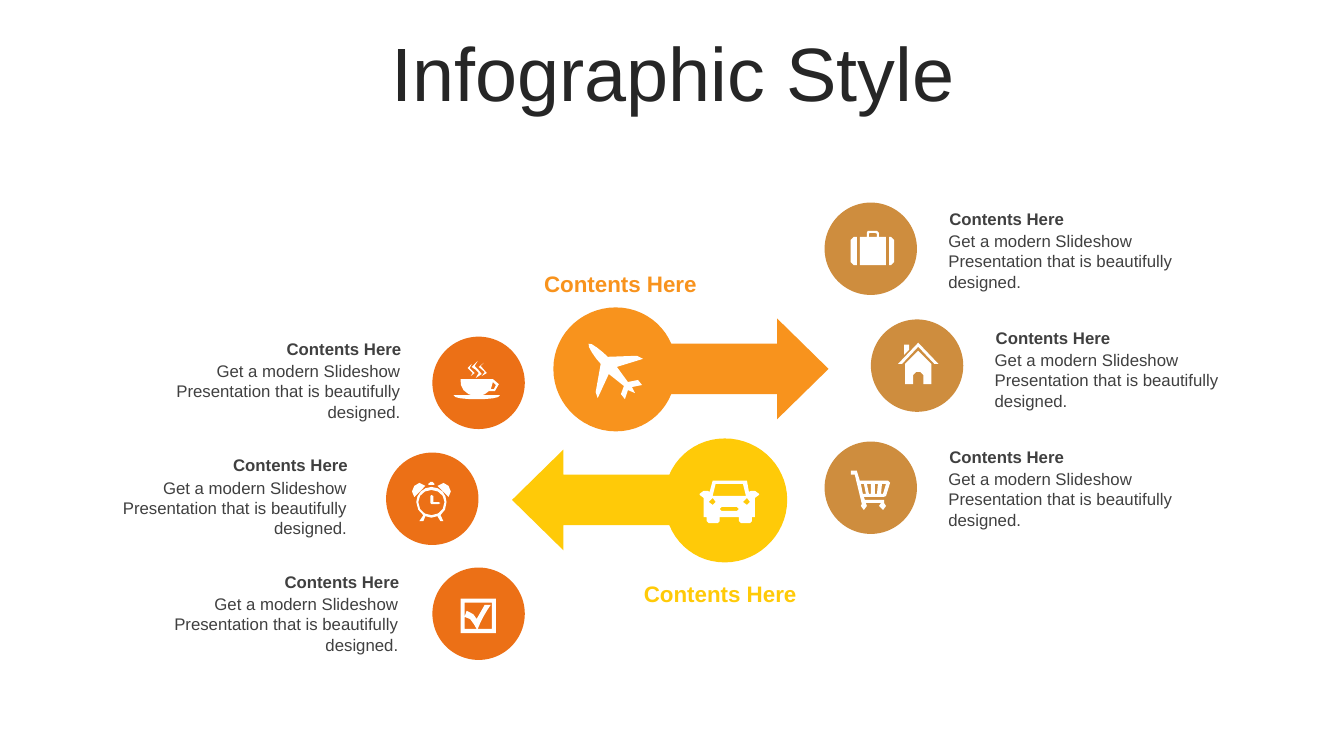
from math import dist

from pptx import Presentation
from pptx import util as u
from pptx.dml.color import RGBColor
from pptx.enum import shapes, text

INK = RGBColor(0x26, 0x26, 0x26)
GREY = RGBColor(0x40, 0x40, 0x40)
WHITE = RGBColor(0xFF, 0xFF, 0xFF)
AMBER = RGBColor(0xF8, 0x93, 0x1D)
YELLOW = RGBColor(0xFF, 0xCA, 0x08)
TAN = RGBColor(0xCE, 0x8D, 0x3E)
ORANGE = RGBColor(0xEC, 0x70, 0x16)

HEADING = "Contents Here"
DETAIL = "Get a modern Slideshow Presentation that is beautifully designed."

ARROW = (
    "M62 0C87 0 108 15 117 36L222 36 222 11 273 61 222 111 222 86 117 86"
    "C108 108 87 123 62 123C28 123 0 95 0 61C0 27 28 0 62 0Z"
)
ARROW_SPAN = 272
PLANE = (
    "M53 41L43 43 46 49C44 50 41 47 39 46L36 55 32 50 35 42 20 30 9 54 7 48"
    "L12 20C7 15 -2 2 0 0C2 -2 14 8 19 13L48 12 54 15 28 23 39 38 49 36Z"
)
CAR = (
    "M22 26L20 28 22 30 37 30 39 28 37 26Z"
    "M47 17C45 17 43 19 43 21C43 23 45 24 47 24C49 24 50 23 50 21C50 19 49 17 47 17Z"
    "M13 17C11 17 9 19 9 21C9 23 11 24 13 24C15 24 16 23 16 21C16 19 15 17 13 17Z"
    "M16 3L13 15 46 15 43 3Z"
    "M13 0L47 0 49 11 51 10 55 10C57 10 59 11 59 13L59 14C59 16 57 17 55 17"
    "L55 36 52 36 52 40 50 42 41 42 39 40 39 36 20 36 20 40 18 42 9 42 7 40 7 36 4 36 4 17"
    "C2 17 0 16 0 14L0 13C0 11 2 10 4 10L8 10 10 11Z"
)
SUITCASE = (
    "M38 6L40 6C42 6 43 7 43 9L43 31C43 33 42 34 40 34L38 34Z"
    "M3 6L6 6 6 34 3 34C2 34 0 33 0 31L0 9C0 7 2 6 3 6Z"
    "M19 2L18 3 18 6 26 6 26 3 24 2Z"
    "M17 0L26 0 28 2 28 6 35 6 35 34 9 34 9 6 16 6 16 2Z"
)
HOUSE = (
    "M20 8L33 21 33 41 25 41 25 32C25 30 24 29 22 29L18 29C16 29 15 30 15 32"
    "L15 41 7 41 7 21ZM6 2L11 2 11 7 6 12ZM20 0L40 21 36 21 20 4 4 21 0 21Z"
)
CART = (
    "M31 13L30 23 32 23 35 13ZM24 13L24 23 26 23 27 13Z"
    "M16 13L18 23 20 23 20 13ZM10 13L12 23 15 23 13 13Z"
    "M6 0L9 10 37 10 39 12 35 25 33 26 13 26 14 29 33 29 33 32"
    "L35 35C35 37 33 39 32 39C30 39 28 37 28 35L30 32 15 32"
    "L16 35C16 37 15 39 13 39C11 39 10 37 10 35L11 33 4 4 0 4 0 0Z"
)
CUP = (
    "M39 21L37 28 40 28 42 24Z"
    "M39 18C42 19 44 21 45 23C45 26 44 29 41 30C39 31 37 31 35 30L31 33 28 34 46 34"
    "C46 37 35 38 23 38C11 38 0 37 0 34L18 34 15 33C9 30 6 24 7 18Z"
    "M18 3C17 5 16 5 16 7C16 10 21 9 21 12C20 14 19 14 17 15L19 12"
    "C19 10 15 9 14 7C13 6 15 4 18 3Z"
    "M30 2C28 3 27 3 27 5C27 9 33 8 33 12C32 14 31 14 28 15L31 11"
    "C31 9 27 8 25 6C24 4 26 3 30 2Z"
    "M24 0C22 2 20 3 21 5C21 9 28 8 28 13C27 15 26 16 22 17L25 12"
    "C25 9 20 9 18 6C17 4 19 2 24 0Z"
)
CLOCK = (
    "M19 13L21 14 21 20 26 20 28 21 26 22 19 22 18 21 18 14Z"
    "M19 8C12 8 6 13 6 20C6 28 12 33 19 33C26 33 32 28 32 20C32 13 26 8 19 8Z"
    "M19 5C28 5 34 12 34 20C34 26 32 30 28 33L31 39 28 39 25 34"
    "C21 36 17 36 13 34L11 39 7 39 11 33C7 30 4 26 4 20C4 12 11 5 19 5Z"
    "M7 1C9 1 11 2 13 4L2 15C-1 12 -1 7 2 4C3 2 5 1 7 1Z"
    "M31 1C33 1 35 2 36 4C39 7 39 12 36 15L25 4C27 2 29 1 31 1Z"
    "M18 0L20 0 22 2 22 3 16 3 16 2Z"
)
CHECKBOX = (
    "M4 4L4 30 16 30C13 26 11 18 4 18L6 12C12 14 14 16 16 20L24 6 30 6"
    "C25 13 20 22 17 30L31 30 31 4ZM0 0L35 0 35 34 0 34Z"
)


def bezier(*points):
    steps = max(1, round(sum(map(dist, points, points[1:])) / 7))
    for step in range(1, steps + 1):
        t = step / steps
        weights = ((1 - t) ** 3, 3 * t * (1 - t) ** 2, 3 * t * t * (1 - t), t ** 3)
        yield tuple(sum(w * p[axis] for w, p in zip(weights, points)) for axis in (0, 1))


def contours(outline):
    for contour in outline.replace("Z", "").split("M")[1:]:
        points = []
        for command in contour.replace("L", "|L").replace("C", "|C").split("|"):
            numbers = [float(n) for n in command.strip("LC").split()]
            pairs = list(zip(numbers[::2], numbers[1::2]))
            points += bezier(points[-1], *pairs) if command[0] == "C" else pairs
        yield points


class Infographic:
    font = "Arial"
    unit = 0.72
    button_size = 66

    def __init__(self, slide):
        self.shapes = slide.shapes

    def paint(self, shape, colour):
        shape.shadow.inherit = False
        shape.fill.solid()
        shape.fill.fore_color.rgb = colour
        shape.line.fill.background()

    def outline(self, left, top, path_data, colour, mirror_span=None):
        builder = None
        for points in contours(path_data):
            if mirror_span:
                points = [(mirror_span - x, y) for x, y in points]
            placed = [(u.Pt(left + x * self.unit), u.Pt(top + y * self.unit)) for x, y in points]
            if builder is None:
                builder = self.shapes.build_freeform(*placed[0], scale=1.0)
            else:
                builder.move_to(*placed[0])
            builder.add_line_segments(placed[1:], close=True)
        self.paint(builder.convert_to_shape(), colour)

    def button(self, left, top, colour):
        size = u.Pt(self.button_size)
        self.paint(self.shapes.add_shape(shapes.MSO_SHAPE.OVAL, u.Pt(left), u.Pt(top), size, size), colour)

    def label(self, box, wording, size, colour, bold=False, align="LEFT", anchor="TOP", spacing=1.0):
        frame = self.shapes.add_textbox(*map(u.Pt, box)).text_frame
        paragraph = frame.paragraphs[0]
        run = paragraph.add_run()
        formats = (
            (frame, {"word_wrap": True, "vertical_anchor": getattr(text.MSO_ANCHOR, anchor)}),
            (paragraph, {"alignment": getattr(text.PP_ALIGN, align), "line_spacing": spacing}),
            (run, {"text": wording}),
            (run.font, {"name": self.font, "size": u.Pt(size), "bold": bold}),
            (run.font.color, {"rgb": colour}),
        )
        for target, values in formats:
            for attribute, value in values.items():
                setattr(target, attribute, value)

    def entry(self, left, top, width, align):
        self.label((left, top + 16, width, 51), DETAIL, 12, GREY, align=align)
        self.label((left + 0.72, top, width, 21.6), HEADING, 12, GREY, bold=True, align=align)


def main():
    deck = Presentation()
    deck.slide_width, deck.slide_height = u.Pt(960), u.Pt(540)
    page = Infographic(deck.slides.add_slide(deck.slide_layouts[6]))

    page.label((25.2, 26.6, 911.5, 56.9), "Infographic Style", 54, INK,
               align="CENTER", anchor="MIDDLE", spacing=0.9)
    page.outline(395.3, 219.6, ARROW, AMBER)
    page.outline(366.5, 313.2, ARROW, YELLOW, mirror_span=ARROW_SPAN)
    page.label((378.7, 189.4, 128.9, 26.6), HEADING, 16, AMBER, bold=True, align="CENTER")
    page.label((450, 411.1, 128.9, 26.6), HEADING, 16, YELLOW, bold=True, align="CENTER")
    page.outline(420.5, 245.5, PLANE, WHITE)
    page.outline(499.7, 343.4, CAR, WHITE)

    sides = (
        (TAN, "LEFT", 180.7, 145.4, 85, (
            (589, 144.7, 670.3, SUITCASE, 607.7, 164.9),
            (622.1, 228.2, 703.4, HOUSE, 641.5, 244.8),
            (589, 315.4, 670.3, CART, 607.7, 336.2))),
        (ORANGE, "RIGHT", 186.5, 238.3, 83.2, (
            (308.9, 240.5, 106.6, CUP, 324, 257.8),
            (275.8, 323.3, 68.4, CLOCK, 294.5, 344.2),
            (308.9, 405.4, 105.1, CHECKBOX, 329, 427.7))),
    )
    for colour, align, width, first_top, pitch, entries in sides:
        for row, (left, top, text_left, icon, icon_left, icon_top) in enumerate(entries):
            page.button(left, top, colour)
            page.entry(text_left, first_top + row * pitch, width, align)
            page.outline(icon_left, icon_top, icon, WHITE)
    deck.save("out.pptx")


if __name__ == "__main__":
    main()
